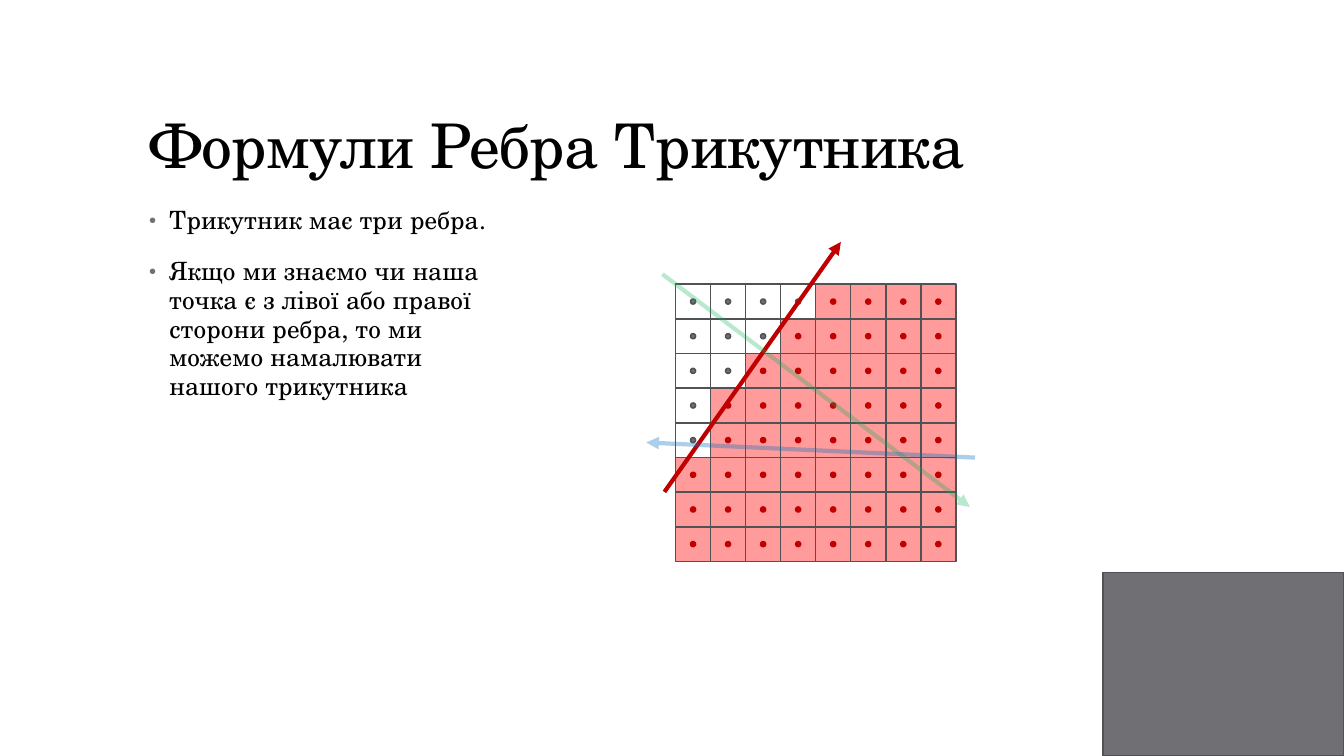
from lxml.etree import SubElement
from pptx import Presentation
from pptx.dml.color import RGBColor as Rgb
from pptx.enum.shapes import MSO_CONNECTOR as Connector, MSO_SHAPE as Shape
from pptx.enum.text import MSO_ANCHOR as Anchor, MSO_AUTO_SIZE as AutoSize, PP_ALIGN as Align
from pptx.oxml.ns import qn
from pptx.util import Inches, Pt

COLORS = {
    "text": "000000", "gray": "6F6F74", "outline": "525256", "inside": "FF9B9B",
    "red": "C00000", "green": "00B050", "blue": "0070C0",
}
FONT = "TeX Gyre Schola"


def add_figure(kind, left, top, width, height, fill, outline):
    figure = slide.shapes.add_shape(kind, Inches(left), Inches(top), Inches(width), Inches(height))
    figure.shadow.inherit = False
    if fill:
        figure.fill.solid()
        figure.fill.fore_color.rgb = Rgb.from_string(COLORS[fill])
    else:
        figure.fill.background()
    figure.line.color.rgb = Rgb.from_string(COLORS[outline])
    figure.line.width = Pt(1.1)


def write(paragraph, text, size, tracking, layout):
    for name, value in layout.items():
        setattr(paragraph, name, value)
    run = paragraph.add_run()
    run.text = text
    for name, value in {"name": FONT, "size": Pt(size)}.items():
        setattr(run.font, name, value)
    run.font.color.rgb = Rgb.from_string(COLORS["text"])
    run.font._element.set("spc", str(tracking))


prs = Presentation()
prs.slide_width, prs.slide_height = Inches(13.33), Inches(7.5)
slide = prs.slides.add_slide(prs.slide_layouts[1])
heading, explanation = slide.shapes.title, slide.placeholders[1]

for part, box, anchor in [
    (heading, (1.38, 0.4, 10.6, 1.45), Anchor.BOTTOM),
    (explanation, (1.38, 2, 3.72, 4.76), Anchor.TOP),
]:
    for side, length in zip(("left", "top", "width", "height"), box):
        setattr(part, side, Inches(length))
    frame_format = {"word_wrap": True, "auto_size": AutoSize.NONE, "vertical_anchor": anchor}
    for name, value in frame_format.items():
        setattr(part.text_frame, name, value)

write(heading.text_frame.paragraphs[0], "Формули Ребра Трикутника", 44, -50,
      {"alignment": Align.LEFT, "line_spacing": 0.9})

statements = [
    "Трикутник має три ребра.",
    "Якщо ми знаємо чи наша точка є з лівої або правої сторони ребра, "
    "то ми можемо намалювати нашого трикутника",
]
for index, statement in enumerate(statements):
    body = explanation.text_frame
    paragraph = body.add_paragraph() if index else body.paragraphs[0]
    properties = paragraph._p.get_or_add_pPr()
    properties.set("marL", str(Inches(0.2)))
    properties.set("indent", str(Inches(-0.2)))
    bullet_color = SubElement(properties, qn("a:buClr"))
    SubElement(bullet_color, qn("a:srgbClr"), val=COLORS["gray"])
    SubElement(properties, qn("a:buSzPct"), val="80000")
    SubElement(properties, qn("a:buFont"), typeface="Arial")
    SubElement(properties, qn("a:buChar"), char="•")
    write(paragraph, statement, 18, 10, {
        "alignment": Align.LEFT, "line_spacing": 0.95,
        "space_before": Pt(14 if index else 0), "space_after": Pt(2),
    })

add_figure(Shape.RECTANGLE, 10.94, 5.68, 2.39, 1.82, "gray", "outline")

grid_left, grid_top = 6.7, 2.82
cell_width, cell_height = 2.78 / 8, 2.75 / 8
dot = 0.05
outside_counts = [4, 3, 2, 1, 1, 0, 0, 0]
for row, outside_count in enumerate(outside_counts):
    for column in range(8):
        inside = column >= outside_count
        left = grid_left + column * cell_width
        top = grid_top + row * cell_height
        add_figure(Shape.RECTANGLE, left, top, cell_width, cell_height,
                   "inside" if inside else None, "outline")
        add_figure(Shape.OVAL, left + (cell_width - dot) / 2, top + (cell_height - dot) / 2,
                   dot, dot, "red" if inside else "gray", "red" if inside else "outline")

edges = [
    ((6.59, 4.88, 8.34, 2.4), "red", 100),
    ((6.57, 2.72, 9.62, 5.03), "green", 28),
    ((9.67, 4.54, 6.41, 4.39), "blue", 33),
]
for ends, color, opacity in edges:
    edge = slide.shapes.add_connector(Connector.STRAIGHT, *map(Inches, ends))
    edge.line.width = Pt(3)
    edge.line.color.rgb = Rgb.from_string(COLORS[color])
    stroke = edge.line._get_or_add_ln()
    if opacity < 100:
        SubElement(stroke.find(".//" + qn("a:srgbClr")), qn("a:alpha"), val=str(opacity * 1000))
    SubElement(stroke, qn("a:tailEnd"), type="triangle")
    SubElement(edge._element.spPr, qn("a:effectLst"))

prs.save("out.pptx")
